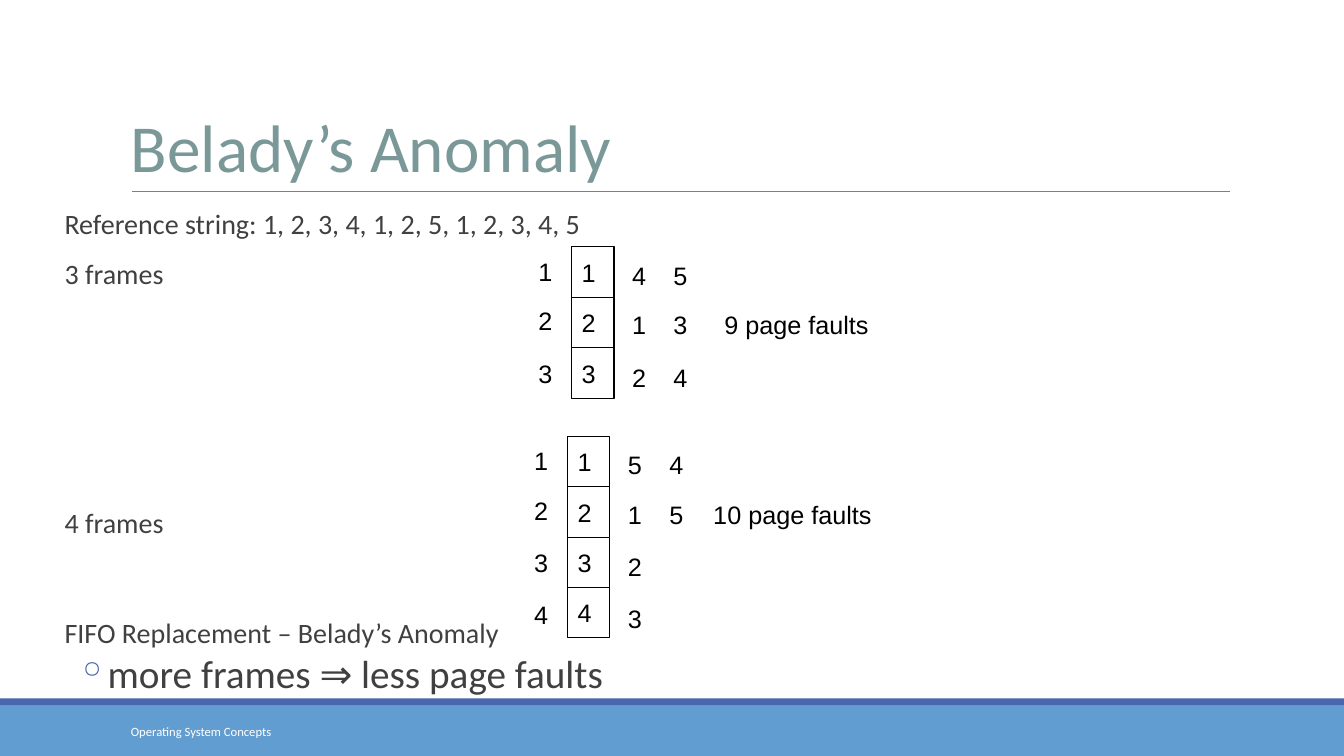
from pptx import Presentation
from pptx.util import Inches, Pt
from pptx.dml.color import RGBColor
from pptx.enum.shapes import MSO_SHAPE, MSO_CONNECTOR
from pptx.enum.text import MSO_ANCHOR, PP_ALIGN
from lxml.etree import SubElement
from pptx.oxml.ns import qn

WIDE, HIGH = 13.33, 7.5
CELL_W, CELL_H = 0.42, 0.5
ROWS = (0, 0.49, 1.01, 1.53)


def hue(code):
    """Turn a hex string into a colour."""
    return RGBColor.from_string(code)


def style(para, text, size, face, code):
    """Write one paragraph in one font."""
    para.text = text
    para.font.size = Pt(size)
    para.font.name = face
    para.font.color.rgb = hue(code)


def block(slide, box, fill, line=None):
    """Add a plain rectangle."""
    rect = slide.shapes.add_shape(MSO_SHAPE.RECTANGLE, *map(Inches, box))
    rect.shadow.inherit = False
    rect.fill.solid()
    rect.fill.fore_color.rgb = hue(fill)
    if line:
        rect.line.color.rgb = hue(line)
        rect.line.width = Pt(0.75)
    else:
        rect.line.fill.background()
    return rect


def label(slide, box, text, size=18, face="Arial", code="000000",
          anchor=MSO_ANCHOR.MIDDLE, align=PP_ALIGN.LEFT):
    """Add a one-line text box."""
    frame = slide.shapes.add_textbox(*map(Inches, box)).text_frame
    frame.word_wrap = True
    frame.vertical_anchor = anchor
    para = frame.paragraphs[0]
    style(para, text, size, face, code)
    para.alignment = align
    return para


def footer(slide, left, top, width, height):
    """Draw the bottom band with its stripe and text."""
    block(slide, (left, top, width, height), "629DD1")
    block(slide, (left, top - 0.07, width, 0.07), "4A66AC")
    label(slide, (left + 1.2, top + 0.06, 2.7, 0.4),
          "Operating System Concepts", 9, "Calibri", "FFFFFF")


def header(slide, left, top, width, height):
    """Draw the title and the rule under it."""
    para = label(slide, (left, top, width, height), "Belady’s Anomaly",
                 48, "Calibri", "7B9899", MSO_ANCHOR.BOTTOM)
    para.line_spacing = 0.85
    base = Inches(top + height)
    rule = slide.shapes.add_connector(
        MSO_CONNECTOR.STRAIGHT, Inches(left + 0.11), base,
        Inches(left + width), base)
    rule.line.color.rgb = hue("7F7F7F")
    rule.line.width = Pt(0.75)
    SubElement(rule._element.spPr, qn("a:effectLst"))


def body(slide, left, top, width, height):
    """Write the main text, spaced to sit beside the frame tables."""
    box = slide.shapes.add_textbox(*map(Inches, (left, top, width, height)))
    frame = box.text_frame
    frame.word_wrap = True
    frame.margin_left = frame.margin_right = 0
    lines = (
        ("Reference string: 1, 2, 3, 4, 1, 2, 5, 1, 2, 3, 4, 5", 20, 0, ""),
        ("3 frames", 20, 14, ""),
        ("4 frames", 20, 156, ""),
        ("FIFO Replacement – Belady’s Anomaly", 20, 57, ""),
        ("more frames ⇒ less page faults", 28, 4, "◦"),
    )
    for i, (text, size, gap, mark) in enumerate(lines):
        para = frame.add_paragraph() if i else frame.paragraphs[0]
        style(para, text, size, "Calibri", "404040")
        para.line_spacing = 0.9
        para.space_before = Pt(gap)
        props = para._p.get_or_add_pPr()
        props.set("marL", str(Inches(0.42 if mark else 0.1)))
        props.set("indent", str(Inches(-0.2 if mark else 0)))
        if mark:
            tint = SubElement(props, qn("a:buClr"))
            SubElement(tint, qn("a:srgbClr")).set("val", "4A66AC")
            SubElement(props, qn("a:buChar")).set("char", mark)


def frames(slide, left, top, count, later, faults):
    """Draw a stack of frames, the pages loaded later and the fault count."""
    names = [str(n + 1) for n in range(count)]
    for row, name in enumerate(names):
        cell = block(slide, (left, top + row * CELL_H, CELL_W, CELL_H),
                     "FFFFFF", "000000")
        frame = cell.text_frame
        frame.word_wrap = False
        frame.vertical_anchor = MSO_ANCHOR.MIDDLE
        style(frame.paragraphs[0], name, 18, "Arial", "000000")
        frame.paragraphs[0].alignment = PP_ALIGN.LEFT
    columns = ((-0.43, 0.04, names), (0.5, 0.08, later[0]), (0.91, 0.08, later[1]))
    for shift, drop, pages in columns:
        for step, page in zip(ROWS, pages):
            label(slide, (left + shift, top + drop + step, CELL_W, 0.4), page)
    label(slide, (left + 1.33, top + 0.08 + ROWS[1], 1.8, 0.4), faults,
          align=PP_ALIGN.CENTER)


def main():
    """Build and save the slide."""
    deck = Presentation()
    deck.slide_width, deck.slide_height = Inches(WIDE), Inches(HIGH)
    slide = deck.slides.add_slide(deck.slide_layouts[6])
    footer(slide, 0, HIGH - 0.5, WIDE, 0.5)
    header(slide, 1.2, 0.31, 11, 1.59)
    body(slide, 0.54, 2.04, 11.6, 4.85)
    frames(slide, 5.67, 2.45, 3, ("412", "534"), "9 page faults")
    frames(slide, 5.63, 4.33, 4, ("5123", "45"), "10 page faults")
    deck.save("out.pptx")


if __name__ == "__main__":
    main()
